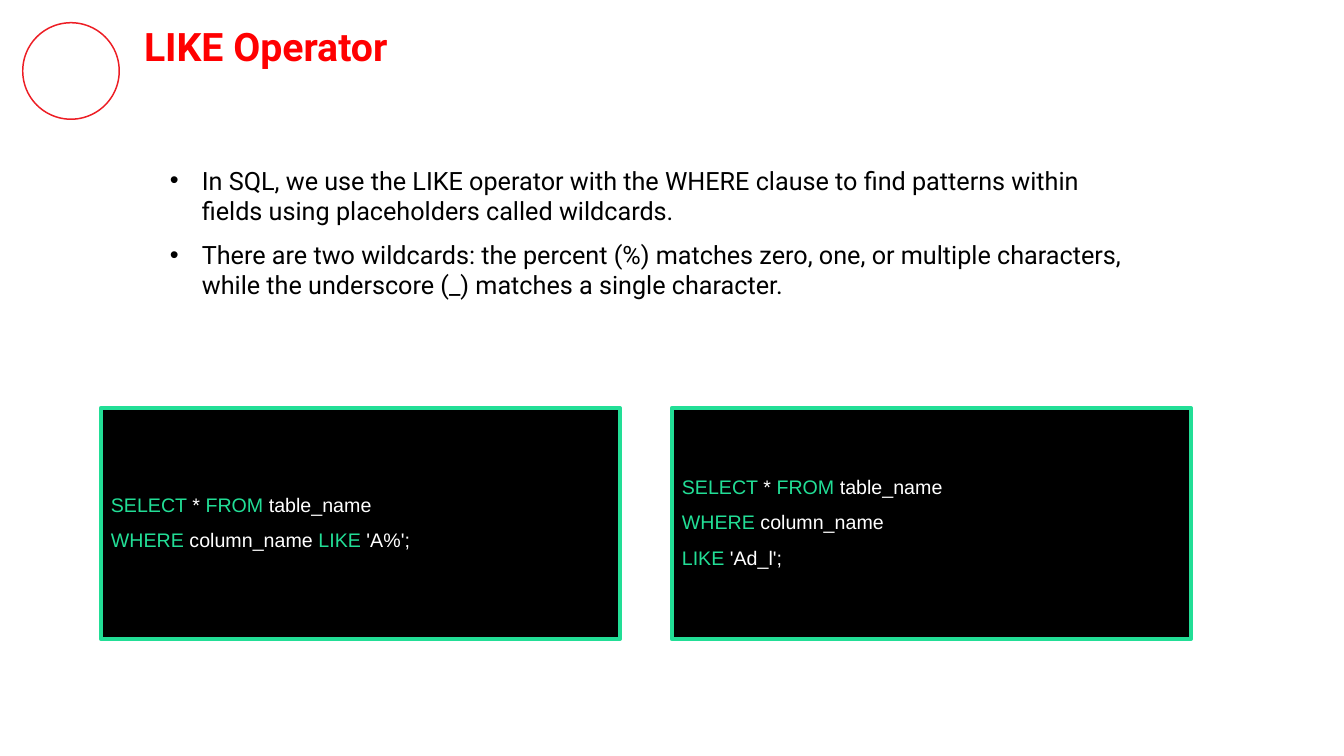
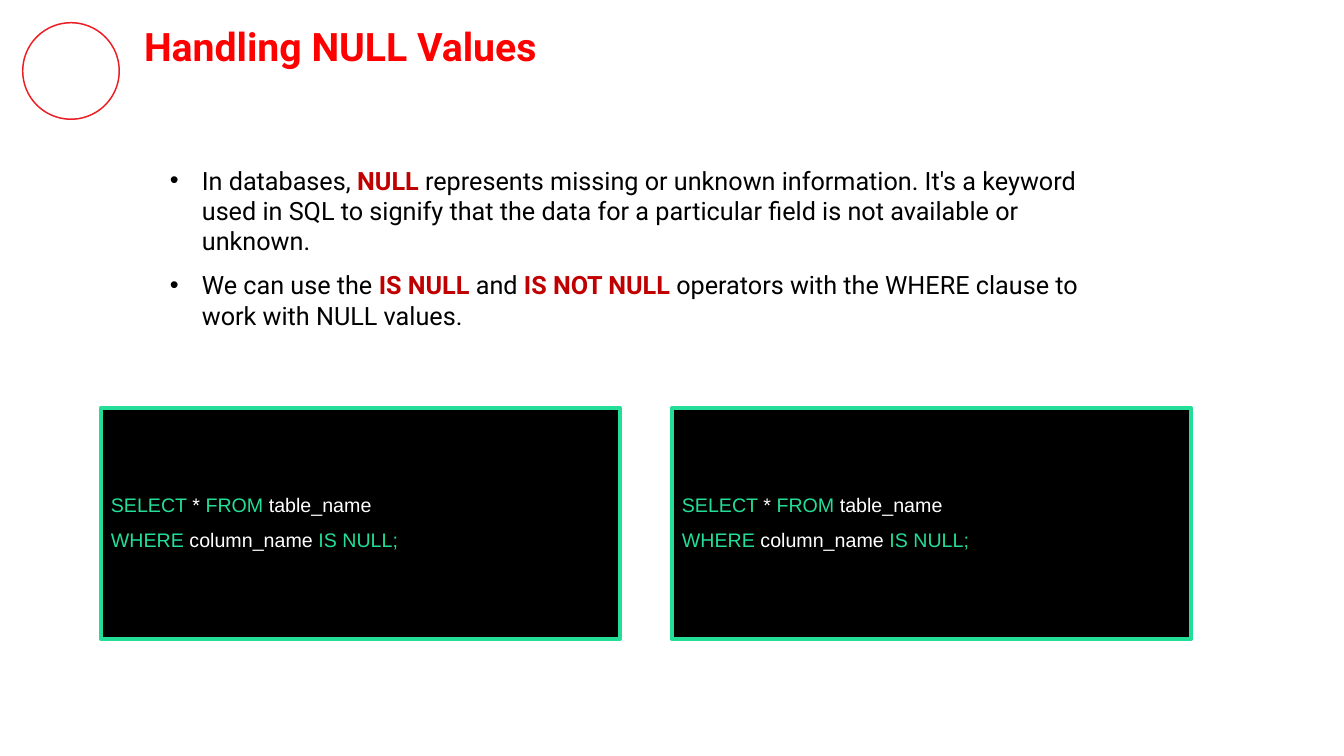
from dataclasses import dataclass
from enum import Enum

import pptx
import pptx.dml.color
import pptx.enum.shapes
import pptx.enum.text
import pptx.oxml.ns
import pptx.slide
import pptx.text.text
import pptx.util
from lxml import etree

EMU_PER_INCH = 914400
PX_PER_INCH = 100.8


class Tone(Enum):
    PLAIN = "plain"
    STRONG = "strong"
    KEYWORD = "keyword"
    IDENTIFIER = "identifier"
    TITLE = "title"


@dataclass(frozen=True)
class Style:
    font: str
    size: int
    color: str
    bold: bool = False


@dataclass(frozen=True)
class Theme:
    ring: str = "ED1D24"
    bullet: str = "000000"
    code_fill: str = "000000"
    code_border: str = "22DE96"
    code_border_pt: int = 3
    paragraph_gap_pt: int = 10
    code_line_spacing: float = 0.9


THEME = Theme()
STYLES: dict[Tone, Style] = {
    Tone.TITLE: Style("Roboto", 28, "FF0001", True),
    Tone.PLAIN: Style("Roboto", 18, "000000"),
    Tone.STRONG: Style("Roboto", 18, "C00000", True),
    Tone.KEYWORD: Style("Arial", 14, THEME.code_border),
    Tone.IDENTIFIER: Style("Arial", 14, "FFFFFF"),
}


@dataclass(frozen=True)
class Box:
    left: int
    top: int
    width: int
    height: int

    def emu(self) -> tuple[int, int, int, int]:
        return px(self.left), px(self.top), px(self.width), px(self.height)


@dataclass(frozen=True)
class Span:
    text: str
    tone: Tone


Line = tuple[Span, ...]


@dataclass(frozen=True)
class Lesson:
    title: str
    points: tuple[Line, ...]
    points_height: int
    queries: tuple[tuple[Line, ...], ...]


RING = Box(22, 22, 98, 98)
RING_THICKNESS = 0.015
TITLE = Box(134, 12, 1127, 67)
TITLE_INSET = 10
POINTS_LEFT, POINTS_TOP, POINTS_WIDTH = 148, 160, 985
POINT_INDENT, POINT_HANGING = 44, -32
QUERY = Box(101, 408, 519, 231)
QUERY_GAP = 52


def px(length: int) -> int:
    return round(length * EMU_PER_INCH / PX_PER_INCH)


def rgb(color: str) -> pptx.dml.color.RGBColor:
    return pptx.dml.color.RGBColor.from_string(color)


def plain(text: str) -> Span:
    return Span(text, Tone.PLAIN)


def strong(text: str) -> Span:
    return Span(text, Tone.STRONG)


def keyword(text: str) -> Span:
    return Span(text, Tone.KEYWORD)


def identifier(text: str) -> Span:
    return Span(text, Tone.IDENTIFIER)


SELECT_ALL: Line = (
    keyword("SELECT "), identifier("*"), keyword(" FROM "), identifier("table_name"),
)
WHERE_COLUMN: Line = (keyword("WHERE "), identifier("column_name "))
NULL_QUERY: tuple[Line, ...] = (SELECT_ALL, WHERE_COLUMN + (keyword("IS NULL;"),))

LESSONS = (
    Lesson(
        "LIKE Operator",
        (
            (plain("In SQL, we use the LIKE operator with the WHERE clause to find "
                   "patterns within fields using placeholders called wildcards."),),
            (plain("There are two wildcards: the percent (%) matches zero, one, or "
                   "multiple characters, while the underscore (_) matches a single "
                   "character."),),
        ),
        146,
        (
            (SELECT_ALL, WHERE_COLUMN + (keyword("LIKE "), identifier("'A%';"))),
            (
                SELECT_ALL,
                (keyword("WHERE "), identifier("column_name")),
                (keyword("LIKE "), identifier("'Ad_l';")),
            ),
        ),
    ),
    Lesson(
        "Handling NULL Values",
        (
            (
                plain("In databases, "),
                strong("NULL"),
                plain(" represents missing or unknown information. It's a keyword used "
                      "in SQL to signify that the data for a particular field is not "
                      "available or unknown."),
            ),
            (
                plain("We can use the "),
                strong("IS NULL "),
                plain("and "),
                strong("IS NOT NULL "),
                plain("operators with the WHERE clause to work with NULL values."),
            ),
        ),
        177,
        (NULL_QUERY, NULL_QUERY),
    ),
)


def write_lines(
    frame: pptx.text.text.TextFrame, lines: tuple[Line, ...]
) -> list[pptx.text.text._Paragraph]:
    frame.word_wrap = True
    for index, line in enumerate(lines):
        paragraph = frame.add_paragraph() if index else frame.paragraphs[0]
        paragraph.alignment = pptx.enum.text.PP_ALIGN.LEFT
        for span in line:
            style = STYLES[span.tone]
            run = paragraph.add_run()
            run.text = span.text
            run.font.name = style.font
            run.font.size = pptx.util.Pt(style.size)
            run.font.bold = style.bold
            run.font.color.rgb = rgb(style.color)
    return list(frame.paragraphs)


def add_bullet(paragraph: pptx.text.text._Paragraph) -> None:
    qn = pptx.oxml.ns.qn
    properties = paragraph._p.get_or_add_pPr()
    properties.set("marL", str(px(POINT_INDENT)))
    properties.set("indent", str(px(POINT_HANGING)))
    color = etree.SubElement(properties, qn("a:buClr"))
    etree.SubElement(color, qn("a:srgbClr"), val=THEME.bullet)
    etree.SubElement(properties, qn("a:buFont"), typeface="Arial")
    etree.SubElement(properties, qn("a:buChar"), char="•")


def draw_ring(slide: pptx.slide.Slide) -> None:
    ring = slide.shapes.add_shape(pptx.enum.shapes.MSO_SHAPE.DONUT, *RING.emu())
    ring.adjustments[0] = RING_THICKNESS
    ring.shadow.inherit = False
    ring.fill.solid()
    ring.fill.fore_color.rgb = rgb(THEME.ring)
    ring.line.fill.background()


def draw_title(slide: pptx.slide.Slide, title: str) -> None:
    frame = slide.shapes.add_textbox(*TITLE.emu()).text_frame
    frame.margin_left = frame.margin_right = px(TITLE_INSET)
    frame.margin_top = frame.margin_bottom = px(TITLE_INSET)
    write_lines(frame, ((Span(title, Tone.TITLE),),))
    frame.auto_size = pptx.enum.text.MSO_AUTO_SIZE.SHAPE_TO_FIT_TEXT


def draw_points(slide: pptx.slide.Slide, lesson: Lesson) -> None:
    box = Box(POINTS_LEFT, POINTS_TOP, POINTS_WIDTH, lesson.points_height)
    frame = slide.shapes.add_textbox(*box.emu()).text_frame
    for paragraph in write_lines(frame, lesson.points):
        paragraph.space_before = pptx.util.Pt(THEME.paragraph_gap_pt)
        add_bullet(paragraph)
    frame.auto_size = pptx.enum.text.MSO_AUTO_SIZE.SHAPE_TO_FIT_TEXT


def draw_query(slide: pptx.slide.Slide, column: int, query: tuple[Line, ...]) -> None:
    left = QUERY.left + column * (QUERY.width + QUERY_GAP)
    box = Box(left, QUERY.top, QUERY.width, QUERY.height)
    panel = slide.shapes.add_shape(pptx.enum.shapes.MSO_SHAPE.RECTANGLE, *box.emu())
    panel.shadow.inherit = False
    panel.fill.solid()
    panel.fill.fore_color.rgb = rgb(THEME.code_fill)
    panel.line.color.rgb = rgb(THEME.code_border)
    panel.line.width = pptx.util.Pt(THEME.code_border_pt)
    panel.text_frame.vertical_anchor = pptx.enum.text.MSO_ANCHOR.MIDDLE
    for paragraph in write_lines(panel.text_frame, query):
        paragraph.line_spacing = THEME.code_line_spacing
        paragraph.space_before = pptx.util.Pt(THEME.paragraph_gap_pt)


def main() -> None:
    deck = pptx.Presentation()
    deck.slide_width, deck.slide_height = px(1344), px(756)
    blank = deck.slide_layouts[6]
    for lesson in LESSONS:
        slide = deck.slides.add_slide(blank)
        draw_ring(slide)
        draw_title(slide, lesson.title)
        draw_points(slide, lesson)
        for column, query in enumerate(lesson.queries):
            draw_query(slide, column, query)
    deck.save("out.pptx")


if __name__ == "__main__":
    main()
